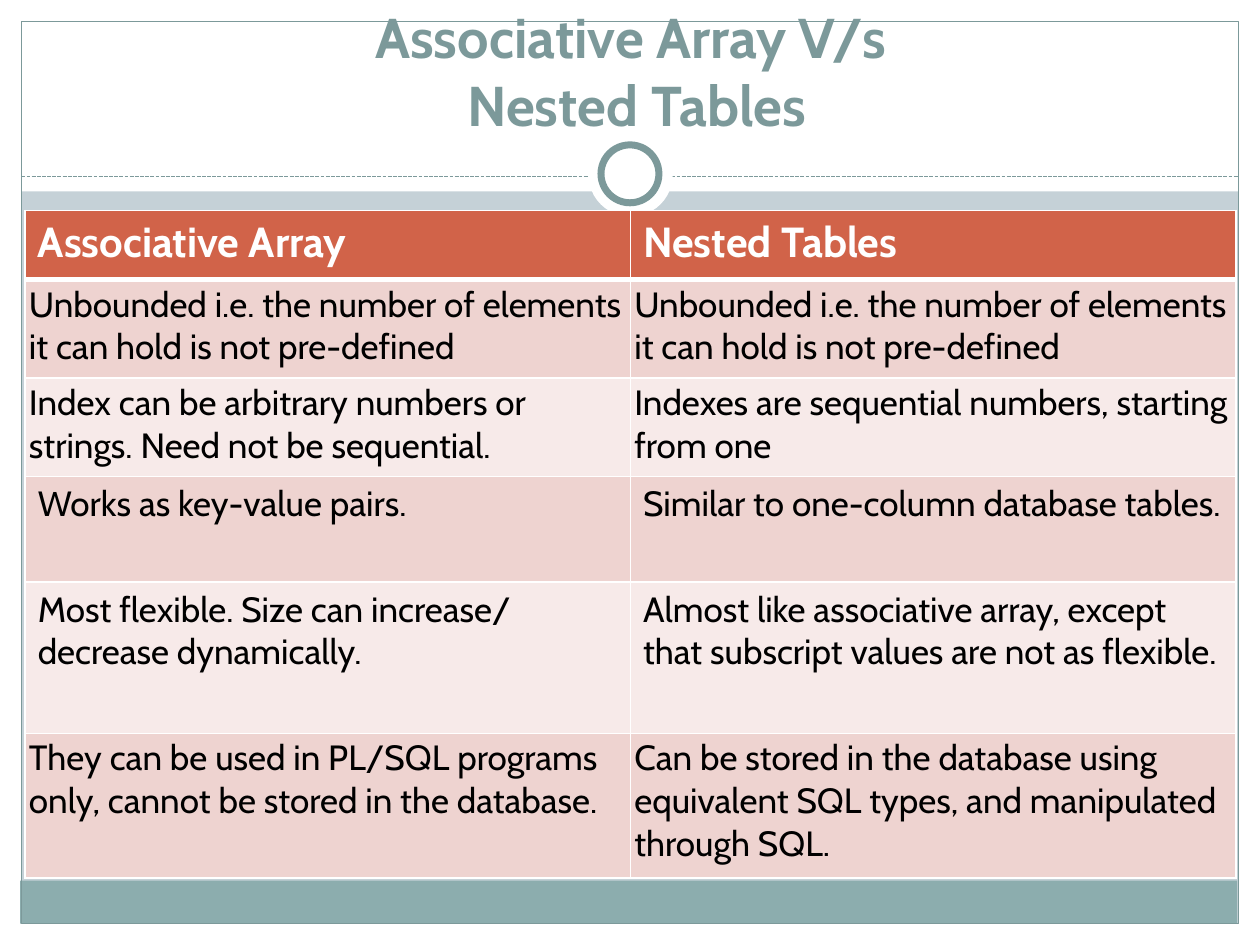
"""Build a slide that compares associative arrays with nested tables."""
import lxml.etree
import pptx
import pptx.dml.color
import pptx.enum.dml
import pptx.enum.shapes
import pptx.enum.text
import pptx.oxml.ns
import pptx.util

Inches = pptx.util.Inches
Pt = pptx.util.Pt
RGBColor = pptx.dml.color.RGBColor
SHAPES = pptx.enum.shapes.MSO_SHAPE
qn = pptx.oxml.ns.qn

WHITE = RGBColor(0xFF, 0xFF, 0xFF)
BLACK = RGBColor(0, 0, 0)
BACKGROUND = RGBColor(0xC5, 0xD1, 0xD7)
TEAL = RGBColor(0x7C, 0x99, 0x9A)
FOOTER = RGBColor(0x8C, 0xAD, 0xAE)
HEADER = RGBColor(0xD1, 0x63, 0x49)
BANDS = (RGBColor(0xF7, 0xEA, 0xE9), RGBColor(0xEE, 0xD3, 0xD0))
FONT = "Cabin"

ROW_HEIGHTS = (0.55, 0.78, 0.78, 0.84, 1.2, 1.15)
TIGHT_ROWS = (1, 2, 5)
ROWS = (
    ("Associative Array", "Nested Tables"),
    ("Unbounded i.e. the number of elements it can hold is not pre-defined",) * 2,
    ("Index can be arbitrary numbers or strings. Need not be sequential.",
     "Indexes are sequential numbers, starting from one"),
    ("Works as key-value pairs.", "Similar to one-column database tables."),
    ("Most flexible. Size can increase/ decrease dynamically.",
     "Almost like associative array, except that subscript values are not as flexible."),
    ("They can be used in PL/SQL programs only, cannot be stored in the database.",
     "Can be stored in the database using equivalent SQL types, "
     "and manipulated through SQL."),
)


def format_text(paragraph, size, color, bold):
    """Format every run of a paragraph."""
    for run in paragraph.runs:
        run.font.name = FONT
        run.font.size = Pt(size)
        run.font.bold = bold
        run.font.color.rgb = color


def add_block(slide, kind, position, fill=None, line_width=None):
    """Add a plain shape with an optional fill and teal outline."""
    shape = slide.shapes.add_shape(kind, *map(Inches, position))
    shape.shadow.inherit = False
    if fill is None:
        shape.fill.background()
    else:
        shape.fill.solid()
        shape.fill.fore_color.rgb = fill
    if line_width is None:
        shape.line.fill.background()
    else:
        shape.line.color.rgb = TEAL
        shape.line.width = Pt(line_width)


def add_divider(slide):
    """Add the dashed line under the title."""
    divider = slide.shapes.add_connector(
        pptx.enum.shapes.MSO_CONNECTOR.STRAIGHT,
        Inches(0.17), Inches(1.4), Inches(9.83), Inches(1.4))
    divider.line.color.rgb = TEAL
    divider.line.width = Pt(0.75)
    divider.line.dash_style = pptx.enum.dml.MSO_LINE.SQUARE_DOT
    lxml.etree.SubElement(divider._element.spPr, qn("a:effectLst"))


def add_frame(slide):
    """Add the margins, footer band, border, divider and ring."""
    for position in ((0, 7.33, 10, 0.17), (0, 0, 10, 1.52),
                     (0, 0, 0.17, 7.5), (9.83, 0, 0.17, 7.5)):
        add_block(slide, SHAPES.RECTANGLE, position, WHITE)
    add_block(slide, SHAPES.RECTANGLE, (0.16, 6.99, 9.66, 0.34), FOOTER)
    add_block(slide, SHAPES.RECTANGLE, (0.17, 0.17, 9.66, 7.16), line_width=0.75)
    add_divider(slide)
    add_block(slide, SHAPES.OVAL, (4.67, 1.05, 0.67, 0.67), WHITE)
    add_block(slide, SHAPES.OVAL, (4.77, 1.15, 0.46, 0.46), WHITE, 4)


def set_title(slide):
    """Fill the title placeholder and bring it in front of the frame."""
    title = slide.shapes.title
    title.left, title.top = Inches(0.39), Inches(0.31)
    title.width, title.height = Inches(9.33), Inches(0.83)
    text_frame = title.text_frame
    text_frame.text = "Associative Array V/s \vNested Tables"
    text_frame.auto_size = pptx.enum.text.MSO_AUTO_SIZE.NONE
    text_frame.vertical_anchor = pptx.enum.text.MSO_ANCHOR.BOTTOM
    paragraph = text_frame.paragraphs[0]
    paragraph.alignment = pptx.enum.text.PP_ALIGN.CENTER
    format_text(paragraph, 32, TEAL, True)
    slide.shapes._spTree.append(title._element)


def set_borders(cell, bottom_width, top_width):
    """Draw white borders around a table cell."""
    properties = cell._tc.get_or_add_tcPr()
    widths = {"a:lnL": 1, "a:lnR": 1, "a:lnT": top_width, "a:lnB": bottom_width}
    for tag, width in widths.items():
        line = lxml.etree.SubElement(properties, qn(tag), w=str(Pt(width)))
        fill = lxml.etree.SubElement(line, qn("a:solidFill"))
        lxml.etree.SubElement(fill, qn("a:srgbClr"), val=str(WHITE))


def fill_cell(cell, text, row_index):
    """Write and format one cell according to its row."""
    is_header = row_index == 0
    set_borders(cell, 3 if is_header else 1, 3 if row_index == 1 else 1)
    cell.fill.solid()
    cell.fill.fore_color.rgb = HEADER if is_header else BANDS[row_index % 2]
    if row_index in TIGHT_ROWS:
        cell.margin_left = cell.margin_right = Inches(0.03)
        cell.margin_top = cell.margin_bottom = Inches(0.03)
    cell.text_frame.text = text
    format_text(cell.text_frame.paragraphs[0], 24 if is_header else 20,
                WHITE if is_header else BLACK, is_header)


def add_comparison_table(slide):
    """Add the two-column comparison table."""
    table = slide.shapes.add_table(
        len(ROWS), 2, Inches(0.2), Inches(1.67), Inches(9.61), Inches(5.3)).table
    for row_index, (height, texts) in enumerate(zip(ROW_HEIGHTS, ROWS)):
        table.rows[row_index].height = Inches(height)
        for column_index, text in enumerate(texts):
            fill_cell(table.cell(row_index, column_index), text, row_index)


def main():
    """Build and save the presentation."""
    presentation = pptx.Presentation()
    presentation.slide_width, presentation.slide_height = Inches(10), Inches(7.5)
    slide = presentation.slides.add_slide(presentation.slide_layouts[5])
    slide.background.fill.solid()
    slide.background.fill.fore_color.rgb = BACKGROUND
    add_frame(slide)
    set_title(slide)
    add_comparison_table(slide)
    presentation.save("out.pptx")


if __name__ == "__main__":
    main()
